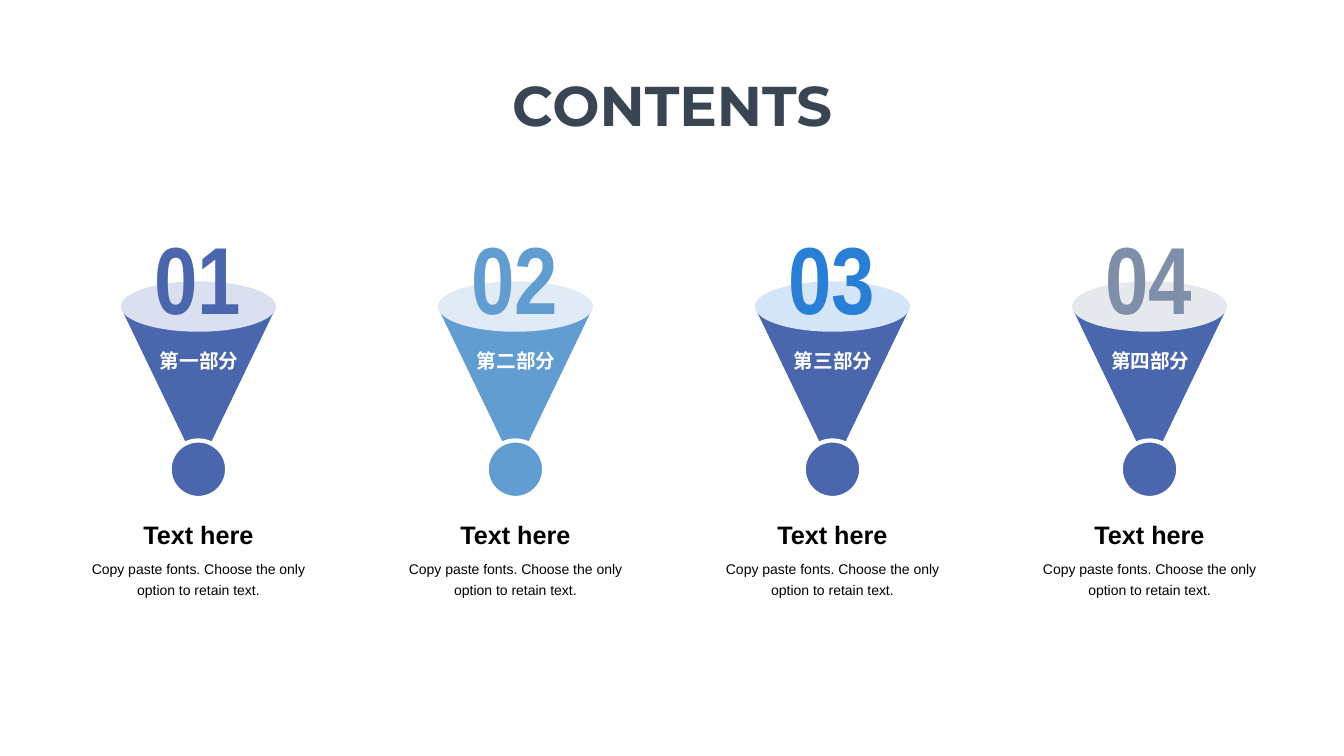
import dataclasses

import pptx
import pptx.dml.color
import pptx.enum.shapes
import pptx.enum.text
import pptx.oxml.ns
import pptx.util
from lxml import etree

Cm = pptx.util.Cm
Pt = pptx.util.Pt
RGB = pptx.dml.color.RGBColor.from_string
Anchor = pptx.enum.text.MSO_ANCHOR
qn = pptx.oxml.ns.qn


@dataclasses.dataclass(frozen=True)
class TextStyle:
    font: str
    size: int
    color: str
    bold: bool = True
    spacing: float | None = None
    wrap: bool = False
    anchor: Anchor = Anchor.TOP
    inset_x: float = 0.25
    inset_y: float = 0.13


@dataclasses.dataclass(frozen=True)
class Theme:
    indigo: str = "4A66AC"
    sky: str = "629DD1"
    azure: str = "297FD5"
    slate: str = "7F8FA9"
    white: str = "FFFFFF"
    title: TextStyle = TextStyle("Montserrat", 40, "3A4554", anchor=Anchor.MIDDLE, inset_x=0)
    number: TextStyle = TextStyle("Arial Narrow", 68, "4A66AC", anchor=Anchor.MIDDLE,
                                  inset_x=0, inset_y=0)
    label: TextStyle = TextStyle("Noto Sans CJK SC", 14, "FFFFFF")
    heading: TextStyle = TextStyle("Arial", 18, "000000")
    description: TextStyle = TextStyle("Arial", 10, "000000", bold=False, spacing=1.2, wrap=True)


@dataclasses.dataclass(frozen=True)
class Section:
    number: str
    label: str
    body_color: str
    rim_color: str
    number_color: str


THEME = Theme()
HEADING = "Text here"
DESCRIPTION = "Copy paste fonts. Choose the only option to retain text."
SECTIONS = [
    Section("01", "第一部分", THEME.indigo, "DAE0EF", THEME.indigo),
    Section("02", "第二部分", THEME.sky, "E0EBF6", THEME.sky),
    Section("03", "第三部分", THEME.indigo, "D4E5F7", THEME.azure),
    Section("04", "第四部分", THEME.indigo, "E5E9EE", THEME.slate),
]
FIRST_CENTER = 5.0
PITCH = 7.99
CONE_OUTLINE = [(1.8, 7.77), (1.93, 7.8), (0, 11.81), (-1.93, 7.8), (-1.8, 7.77)]


def add_text(slide, text: str, center: float, top: float, width: float, height: float,
             style: TextStyle) -> None:
    box = slide.shapes.add_textbox(Cm(center - width / 2), Cm(top), Cm(width), Cm(height))
    frame = box.text_frame
    frame.word_wrap = style.wrap
    frame.vertical_anchor = style.anchor
    frame.margin_left = frame.margin_right = Cm(style.inset_x)
    frame.margin_top = frame.margin_bottom = Cm(style.inset_y)
    paragraph = frame.paragraphs[0]
    paragraph.text = text
    paragraph.alignment = pptx.enum.text.PP_ALIGN.CENTER
    if style.spacing:
        paragraph.line_spacing = style.spacing
    font = paragraph.font
    font.name = style.font
    font.size = Pt(style.size)
    font.bold = style.bold
    font.color.rgb = RGB(style.color)
    defaults = paragraph._p.pPr.find(qn("a:defRPr"))
    etree.SubElement(defaults, qn("a:ea")).set("typeface", style.font)


def paint(shape, fill: str, outline: str | None = None) -> None:
    shape.shadow.inherit = False
    shape.fill.solid()
    shape.fill.fore_color.rgb = RGB(fill)
    if outline:
        shape.line.color.rgb = RGB(outline)
        shape.line.width = Pt(3)
    else:
        shape.line.fill.background()


def add_ellipse(slide, center: float, top: float, width: float, height: float,
                fill: str, outline: str | None = None) -> None:
    ellipse = slide.shapes.add_shape(pptx.enum.shapes.MSO_SHAPE.OVAL, Cm(center - width / 2),
                                     Cm(top), Cm(width), Cm(height))
    paint(ellipse, fill, outline)


def add_cone(slide, center: float, fill: str) -> None:
    start, *rest = [(Cm(center + dx), Cm(y)) for dx, y in CONE_OUTLINE]
    builder = slide.shapes.build_freeform(*start)
    builder.add_line_segments(rest, close=True)
    paint(builder.convert_to_shape(), fill)


def add_section(slide, section: Section, center: float) -> None:
    add_cone(slide, center, section.body_color)
    add_ellipse(slide, center, 7.09, 3.91, 1.27, section.rim_color)
    number_style = dataclasses.replace(THEME.number, color=section.number_color)
    add_text(slide, section.number, center - 0.02, 5.59, 3.91, 2.77, number_style)
    add_text(slide, section.label, center + 0.02, 8.66, 3.12, 0.89, THEME.label)
    add_ellipse(slide, center, 11.1, 1.45, 1.45, section.body_color, THEME.white)
    add_text(slide, DESCRIPTION, center, 13.92, 6.1, 1.55, THEME.description)
    add_text(slide, HEADING, center, 12.95, 6.1, 0.97, THEME.heading)


presentation = pptx.Presentation()
presentation.slide_width = Cm(33.87)
presentation.slide_height = Cm(19.05)
contents = presentation.slides.add_slide(presentation.slide_layouts[6])

for index, section in enumerate(SECTIONS):
    add_section(contents, section, FIRST_CENTER + index * PITCH)
add_text(contents, "CONTENTS", 16.94, 1.85, 9.86, 1.55, THEME.title)

presentation.save("out.pptx")
